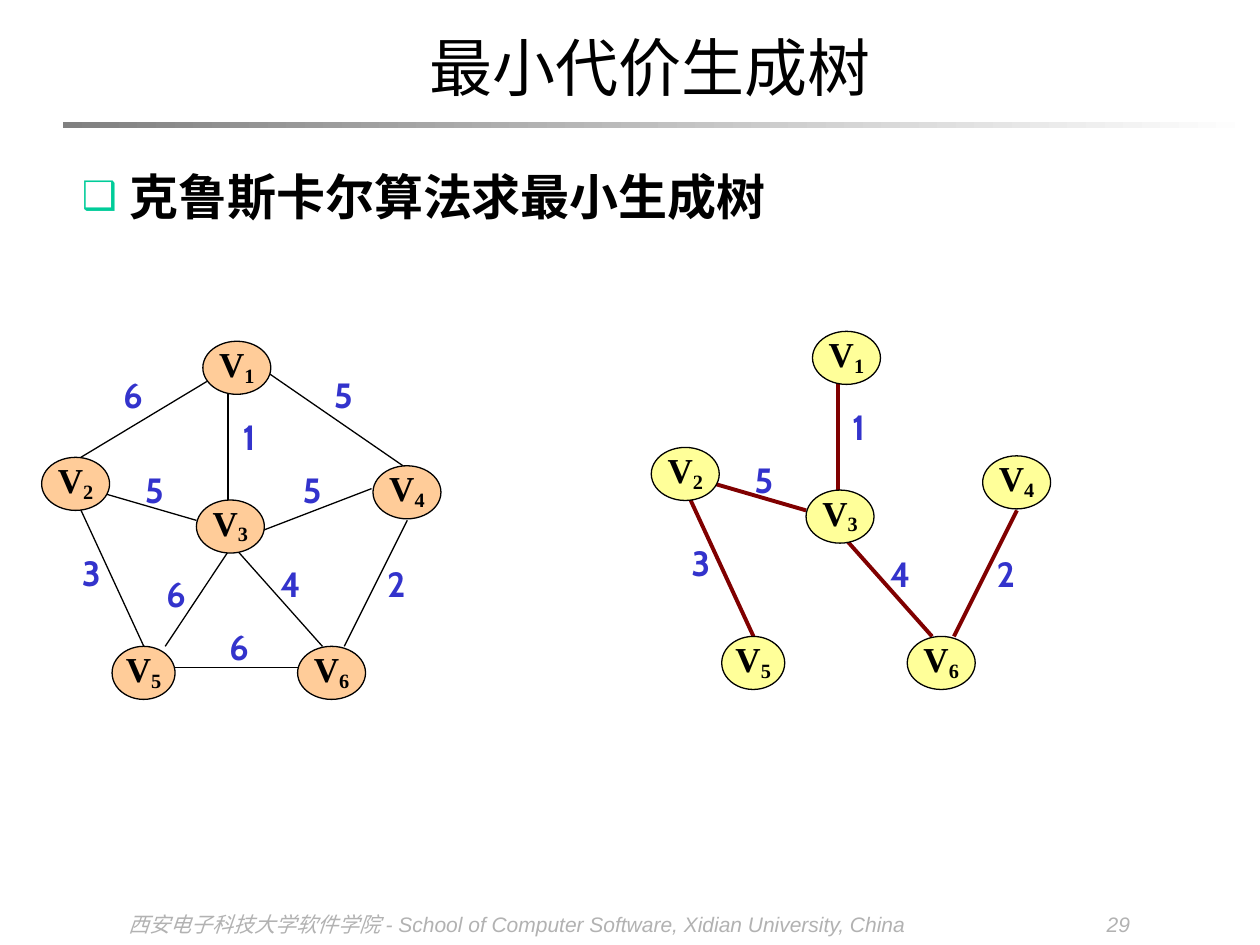
from lxml import etree
from pptx import Presentation
from pptx.dml.color import RGBColor
from pptx.enum.shapes import MSO_CONNECTOR, MSO_SHAPE
from pptx.enum.text import MSO_ANCHOR, MSO_AUTO_SIZE, PP_ALIGN
from pptx.oxml.ns import qn
from pptx.util import Cm, Pt

STRAIGHT = MSO_CONNECTOR.STRAIGHT
OVAL, RECTANGLE = MSO_SHAPE.OVAL, MSO_SHAPE.RECTANGLE
TOP, MIDDLE = MSO_ANCHOR.TOP, MSO_ANCHOR.MIDDLE
NO_AUTOFIT = MSO_AUTO_SIZE.NONE
LEFT, CENTER, RIGHT = PP_ALIGN.LEFT, PP_ALIGN.CENTER, PP_ALIGN.RIGHT

CJK_FONT = "Noto Sans CJK SC"
SERIF_FONT = "Times New Roman"
BLACK = "000000"
NODE_WIDTH, NODE_HEIGHT, LABEL_SIZE = 1.37, 1.07, 0.84

# name: (left, top, width)
NODES = {
    "1": (3.25, 0, NODE_WIDTH),
    "2": (0, 2.34, NODE_WIDTH),
    "3": (3.12, 3.2, NODE_WIDTH),
    "4": (6.68, 2.51, NODE_WIDTH),
    "5": (1.42, 6.15, 1.27),
    "6": (5.16, 6.15, NODE_WIDTH),
}
# nodes: (weight, start, end, label corner)
EDGES = {
    "12": ("6", (3.33, 0.81), (0.79, 2.34), (1.42, 0.66)),
    "14": ("5", (4.6, 0.66), (7.37, 2.57), (5.66, 0.66)),
    "13": ("1", (3.76, 1.07), (3.76, 3.2), (3.76, 1.5)),
    "23": ("5", (1.09, 3.02), (3.12, 3.61), (1.85, 2.57)),
    "34": ("5", (4.39, 3.84), (6.65, 2.97), (5.03, 2.57)),
    "25": ("3", (0.79, 3.4), (2.06, 6.15), (0.58, 4.24)),
    "35": ("6", (3.76, 4.24), (2.49, 6.15), (2.29, 4.67)),
    "36": ("4", (3.96, 4.24), (5.66, 6.15), (4.6, 4.47)),
    "46": ("2", (7.37, 3.61), (6.1, 6.15), (6.73, 4.47)),
    "56": ("6", (2.69, 6.58), (5.23, 6.58), (3.56, 5.74)),
}
TREE_EDGES = ("13", "23", "25", "36", "46")


def color(value):
    return RGBColor.from_string(value)


def place(shape, left, top, width, height):
    shape.left, shape.top = Cm(left), Cm(top)
    shape.width, shape.height = Cm(width), Cm(height)


def add_run(paragraph, text, font=SERIF_FONT, size=20, fill=BLACK,
            bold=False, italic=False, baseline=None):
    run = paragraph.add_run()
    run.text = text
    run.font.name, run.font.size = font, Pt(size)
    run.font.bold, run.font.italic = bold, italic
    run.font.color.rgb = color(fill)
    properties = run.font._element
    etree.SubElement(properties, qn("a:ea")).set("typeface", CJK_FONT)
    if baseline:
        properties.set("baseline", str(baseline * 1000))


def write_text(shape, text, align=CENTER, anchor=MIDDLE, inset=0, **run_format):
    frame = shape.text_frame
    frame.word_wrap, frame.auto_size = True, NO_AUTOFIT
    frame.vertical_anchor = anchor
    frame.margin_left = frame.margin_right = Cm(inset)
    frame.margin_top = frame.margin_bottom = Cm(inset / 2)
    paragraph = frame.paragraphs[0]
    paragraph.alignment = align
    add_run(paragraph, text, **run_format)
    return paragraph


def add_text(slide, text, left, top, width, height, **text_format):
    box = slide.shapes.add_textbox(Cm(left), Cm(top), Cm(width), Cm(height))
    write_text(box, text, **text_format)


def add_header(slide, left, top, width):
    title = slide.shapes.title
    place(title, left + 1.02, top, 21.64, 1.93)
    write_text(title, "最小代价生成树", inset=0.25, size=36)

    rule = slide.shapes.add_shape(
        RECTANGLE, Cm(left), Cm(top + 2.08), Cm(width), Cm(0.13))
    rule.shadow.inherit = False
    rule.line.fill.background()
    rule.fill.gradient()
    rule.fill.gradient_angle = 0
    for stop, value in zip(rule.fill.gradient_stops, ("808080", "FFFFFF")):
        stop.color.rgb = color(value)


def add_topic(slide, left, top, width, height):
    body = slide.placeholders[1]
    place(body, left, top, width, height)
    paragraph = write_text(body, "克鲁斯卡尔算法求最小生成树", align=LEFT, anchor=TOP,
                           inset=0.25, font=CJK_FONT, size=28, bold=True)
    paragraph.line_spacing, paragraph.space_before = 1.1, Pt(7)
    properties = paragraph._p.get_or_add_pPr()
    properties.set("marL", str(Cm(0.96)))
    properties.set("indent", str(-Cm(0.96)))
    bullet_color = etree.SubElement(properties, qn("a:buClr"))
    etree.SubElement(bullet_color, qn("a:srgbClr")).set("val", "00CC99")
    etree.SubElement(properties, qn("a:buSzPct")).set("val", "80000")
    etree.SubElement(properties, qn("a:buChar")).set("char", "❑")


def add_edge(slide, start, end, line_color, line_width):
    edge = slide.shapes.add_connector(STRAIGHT, *map(Cm, start + end))
    edge.line.color.rgb = color(line_color)
    edge.line.width = Pt(line_width)
    etree.SubElement(edge._element.spPr, qn("a:effectLst"))


def add_node(slide, name, left, top, width, fill):
    node = slide.shapes.add_shape(
        OVAL, Cm(left), Cm(top), Cm(width), Cm(NODE_HEIGHT))
    node.shadow.inherit = False
    node.fill.solid()
    node.fill.fore_color.rgb = color(fill)
    node.line.color.rgb = color(BLACK)
    node.line.width = Pt(0.75)
    paragraph = write_text(node, "V", bold=True)
    paragraph.line_spacing = 0.72
    add_run(paragraph, name, bold=True, baseline=-16)


def add_graph(slide, left, top, edges, node_fill, line_color, line_width):
    def shift(point):
        return left + point[0], top + point[1]

    for edge in edges:
        _, start, end, _ = EDGES[edge]
        add_edge(slide, shift(start), shift(end), line_color, line_width)
    for name, (x, y, width) in NODES.items():
        add_node(slide, name, left + x, top + y, width, node_fill)
    for edge in edges:
        weight, _, _, corner = EDGES[edge]
        add_text(slide, weight, *shift(corner), LABEL_SIZE, LABEL_SIZE,
                 font="Cabin", fill="3333CC", bold=True)


def add_footer(slide, left, top, width, height):
    number_width = 2
    footer_format = {"font": "Arial", "size": 12, "fill": "B2B2B2", "italic": True}
    add_text(slide, "西安电子科技大学软件学院 - School of Computer Software, "
             "Xidian University, China", left, top, width - number_width, height,
             align=LEFT, **footer_format)
    add_text(slide, "29", left + width - number_width, top, number_width, height,
             align=RIGHT, **footer_format)


def main():
    presentation = Presentation()
    presentation.slide_width, presentation.slide_height = Cm(25.4), Cm(19.05)
    slide = presentation.slides.add_slide(presentation.slide_layouts[1])
    add_header(slide, 1.27, 0.38, 24)
    add_topic(slide, 1.4, 3.12, 19.89, 1.9)
    add_graph(slide, 0.84, 6.88, EDGES, "FFCC99", BLACK, 0.75)
    add_graph(slide, 13.13, 6.68, TREE_EDGES, "FFFF99", "800000", 2.25)
    add_footer(slide, 2.6, 18.21, 20.18, 0.84)
    presentation.save("out.pptx")


if __name__ == "__main__":
    main()
